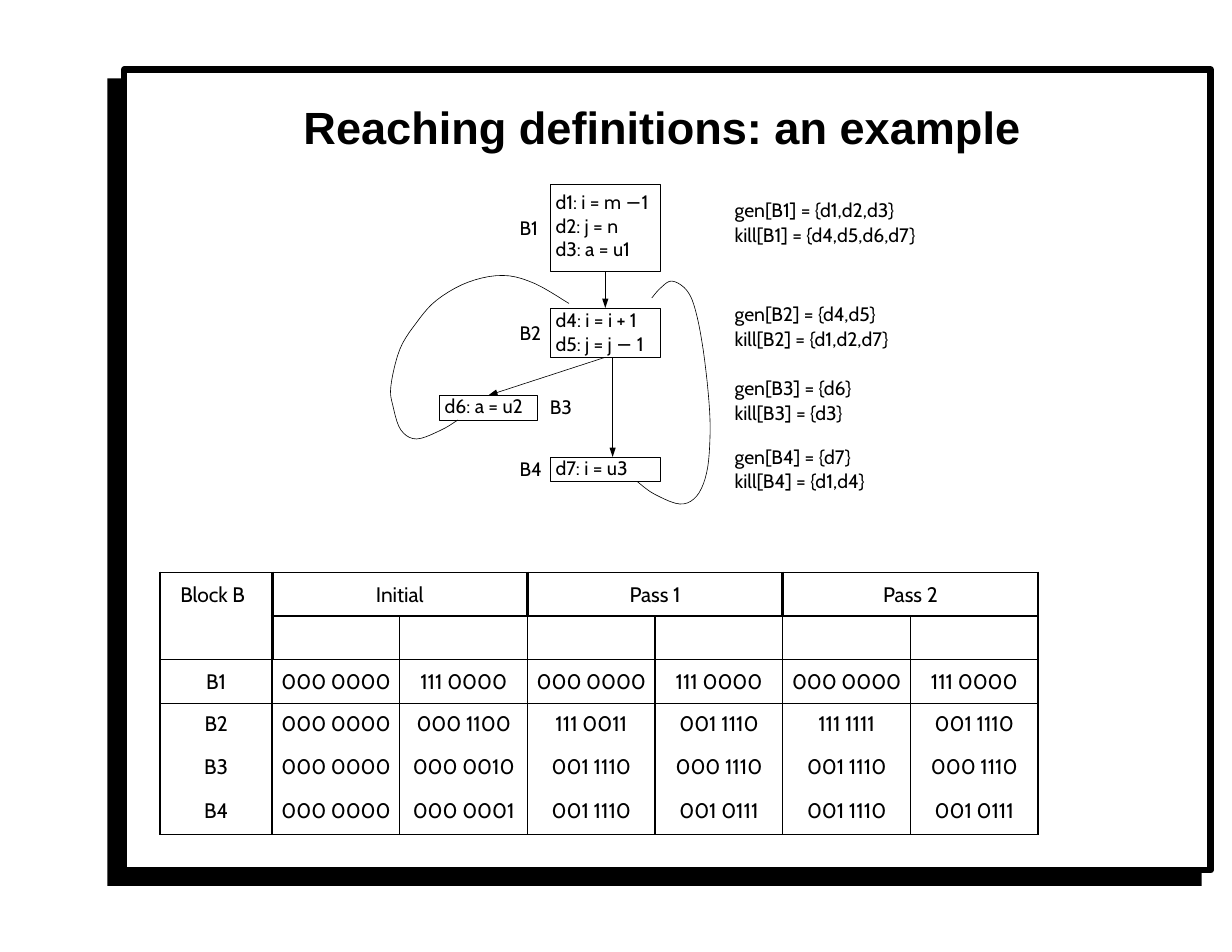
from lxml import etree
from pptx import Presentation
from pptx.dml.color import RGBColor
from pptx.enum.shapes import MSO_CONNECTOR, MSO_SHAPE
from pptx.enum.text import MSO_ANCHOR, PP_ALIGN
from pptx.oxml.ns import qn
from pptx.util import Inches, Pt

STRAIGHT = MSO_CONNECTOR.STRAIGHT
RECT = MSO_SHAPE.RECTANGLE
TOP = MSO_ANCHOR.TOP
LEFT, CENTER = PP_ALIGN.LEFT, PP_ALIGN.CENTER

COLORS = {"ink": "000000", "paper": "FFFFFF"}
TITLE = {"name": "Arial", "size": Pt(29), "bold": True}
BODY = {"name": "Cabin", "size": Pt(12.5)}
GRID = {"name": "Cabin", "size": Pt(13.5)}
HAIR = 0.4

BLOCKS = {
    "B1": ((1.42, 0, 0.99, 0.77), (1.14, 0.25), ["d1: i = m −1", "d2: j = n", "d3: a = u1"]),
    "B2": ((1.42, 1.1, 0.99, 0.44), (1.14, 1.19), ["d4: i = i + 1", "d5: j = j − 1"]),
    "B3": ((0.43, 1.88, 0.88, 0.22), (1.41, 1.85), ["d6: a = u2"]),
    "B4": ((1.42, 2.43, 0.99, 0.22), (1.14, 2.4), ["d7: i = u3"]),
}
LOOPS = [
    [(0.6, 2.1), (0.45, 2.19), (0.23, 2.27), (0.09, 2.19), (0.02, 1.98), (0, 1.8), (0.08, 1.47),
     (0.23, 1.23), (0.41, 1.03), (0.69, 0.87), (1, 0.81), (1.28, 0.88), (1.59, 1.06)],
    [(2.2, 2.65), (2.35, 2.76), (2.58, 2.85), (2.73, 2.78), (2.82, 2.57), (2.85, 2.25), (2.84, 1.93),
     (2.79, 1.48), (2.72, 1.12), (2.64, 0.94), (2.51, 0.86), (2.41, 0.92), (2.33, 1.01)],
]
SETS = [
    (0, "gen[B1] = {d1,d2,d3}", "kill[B1] = {d4,d5,d6,d7}"),
    (0.93, "gen[B2] = {d4,d5}", "kill[B2] = {d1,d2,d7}"),
    (1.59, "gen[B3] = {d6}", "kill[B3] = {d3}"),
    (2.2, "gen[B4] = {d7}", "kill[B4] = {d1,d4}"),
]
ROWS = [
    ["Block B", "Initial", "", "Pass 1", "", "Pass 2", ""],
    [""] * 7,
    ["B1"] + ["000 0000", "111 0000"] * 3,
    ["B2", "000 0000", "000 1100", "111 0011", "001 1110", "111 1111", "001 1110"],
    ["B3", "000 0000", "000 0010", "001 1110", "000 1110", "001 1110", "000 1110"],
    ["B4", "000 0000", "000 0001", "001 1110", "001 0111", "001 1110", "001 0111"],
]


def rgb(key):
    return RGBColor.from_string(COLORS[key])


def write(tf, lines, font, inset=0, gap=0, spacing=None, align=LEFT):
    for i, line in enumerate(lines):
        p = tf.paragraphs[0] if i == 0 else tf.add_paragraph()
        p.alignment = align
        p.space_before = Pt(gap if i else 0)
        if spacing:
            p.line_spacing = Pt(spacing)
        r = p.add_run()
        r.text = line
        for key, value in font.items():
            setattr(r.font, key, value)
        r.font.color.rgb = rgb("ink")
    tf.vertical_anchor = TOP
    tf.margin_top = Inches(inset)


def add_text(s, box, lines, font, inset=0.03, gap=0):
    tf = s.shapes.add_textbox(*map(Inches, box)).text_frame
    tf.word_wrap = True
    tf.margin_left = Inches(0.01)
    tf.margin_right = tf.margin_bottom = 0
    write(tf, lines, font, inset, gap)


def add_rect(s, box, fill=None, width=None):
    sp = s.shapes.add_shape(RECT, *map(Inches, box))
    sp.shadow.inherit = False
    if fill:
        sp.fill.solid()
        sp.fill.fore_color.rgb = rgb(fill)
    else:
        sp.fill.background()
    set_line(sp.line, width)
    return sp


def set_line(line, width):
    if width:
        line.color.rgb = rgb("ink")
        line.width = Pt(width)
    else:
        line.fill.background()


def add_arrow(s, start=(0, 0), end=(0, 0), source=None, target=None):
    sp = s.shapes.add_connector(STRAIGHT, *map(Inches, start + end))
    if source:
        sp.begin_connect(source, 2)
        sp.end_connect(target, 0)
    set_line(sp.line, HAIR)
    ln = sp.line._get_or_add_ln()
    etree.SubElement(ln, qn("a:tailEnd"), type="triangle", w="sm", len="med")
    etree.SubElement(ln.getparent(), qn("a:effectLst"))


def smooth(points, steps=5):
    padded = [points[0], *points, points[-1]]
    curve = []
    for a, b, c, d in zip(padded, padded[1:], padded[2:], padded[3:]):
        for k in range(steps):
            t = k / steps
            curve.append(tuple(
                q + 0.5 * t * (m - p + t * (2 * p - 5 * q + 4 * m - n + t * (3 * (q - m) + n - p)))
                for p, q, m, n in zip(a, b, c, d)))
    return curve + [points[-1]]


def add_loop(s, points):
    first, *rest = [(Inches(x), Inches(y)) for x, y in smooth(points)]
    builder = s.shapes.build_freeform(*first)
    builder.add_line_segments(rest, close=False)
    sp = builder.convert_to_shape()
    sp.shadow.inherit = False
    sp.fill.background()
    set_line(sp.line, HAIR)


def add_frame(s, x, y, w, h):
    add_rect(s, (x - 0.15, y + 0.08, w + 0.07, h + 0.06), "ink")
    add_rect(s, (x, y, w, h), "paper", 4.08)


def add_flow_graph(s, x, y):
    nodes = {}
    for name, ((dx, dy, w, h), (lx, ly), lines) in BLOCKS.items():
        sp = nodes[name] = add_rect(s, (x + dx, y + dy, w, h), width=HAIR)
        tf = sp.text_frame
        tf.word_wrap = True
        tf.margin_left = Inches(0.05)
        tf.margin_right = tf.margin_bottom = 0
        first = name == "B1"
        write(tf, lines, BODY, 0.05 if first else 0, spacing=None if first else 14.4 + 0.8 * (len(lines) > 1))
        add_text(s, (x + lx, y + ly, 0.24, 0.24), [name], BODY)
    add_arrow(s, source=nodes["B1"], target=nodes["B2"])
    add_arrow(s, source=nodes["B2"], target=nodes["B3"])
    add_arrow(s, (x + 1.98, y + 1.54), (x + 1.98, y + 2.43))
    for points in LOOPS:
        add_loop(s, [(x + dx, y + dy) for dx, dy in points])


def add_sets(s, x, y, w):
    for dy, *lines in SETS:
        add_text(s, (x, y + dy, w, 0.46), lines, BODY, gap=0.8)


def column_edge(r, c):
    if r == 0 and c in (2, 4, 6):
        return 0
    return 2.25 if (r == 0 and c in (1, 3, 5)) or (r == 1 and c == 1) else 1


def row_edge(r, c):
    return 0 if (r == 1 and c == 0) or r in (4, 5) else 1


def set_borders(cell, r, c):
    edges = {
        "L": column_edge(r, c),
        "R": column_edge(r, c + cell.span_width),
        "T": row_edge(r, c),
        "B": row_edge(r + cell.span_height, c),
    }
    tcPr = cell._tc.get_or_add_tcPr()
    for side, width in edges.items():
        ln = etree.SubElement(tcPr, qn("a:ln" + side), w=str(Pt(width)))
        fill = etree.SubElement(ln, qn("a:solidFill" if width else "a:noFill"))
        if width:
            etree.SubElement(fill, qn("a:srgbClr"), val=COLORS["ink"])


def add_passes_table(s, x, y, w, h):
    table = s.shapes.add_table(len(ROWS), 7, *map(Inches, (x, y, w, h))).table
    table.first_row = table.horz_banding = False
    for c, col in enumerate(table.columns):
        col.width = Inches((w - 1) / 6 if c else 1)
    for c in (1, 3, 5):
        table.cell(0, c).merge(table.cell(0, c + 1))
    table.cell(0, 0).merge(table.cell(1, 0))
    for r, values in enumerate(ROWS):
        for c, value in enumerate(values):
            cell = table.cell(r, c)
            corner = r == c == 0
            cell.margin_left = Inches(0.18 if corner else 0)
            cell.margin_right = cell.margin_top = cell.margin_bottom = 0
            if value:
                write(cell.text_frame, [value], GRID, align=LEFT if corner else CENTER)
                cell.margin_top = Inches(0.09 if r < 3 else 0.07)
            set_borders(cell, r, c)
            cell.fill.background()


def main():
    prs = Presentation()
    prs.slide_width, prs.slide_height = Inches(11), Inches(8.5)
    s = prs.slides.add_slide(prs.slide_layouts[6])
    add_frame(s, 1.11, 0.62, 9.7, 7.15)
    add_text(s, (2.7, 0.82, 6.6, 0.52), ["Reaching definitions: an example"], TITLE, 0.07)
    add_flow_graph(s, 3.49, 1.65)
    add_sets(s, 6.55, 1.74, 1.8)
    add_passes_table(s, 1.43, 5.11, 7.84, 2.34)
    prs.save("out.pptx")


if __name__ == "__main__":
    main()
